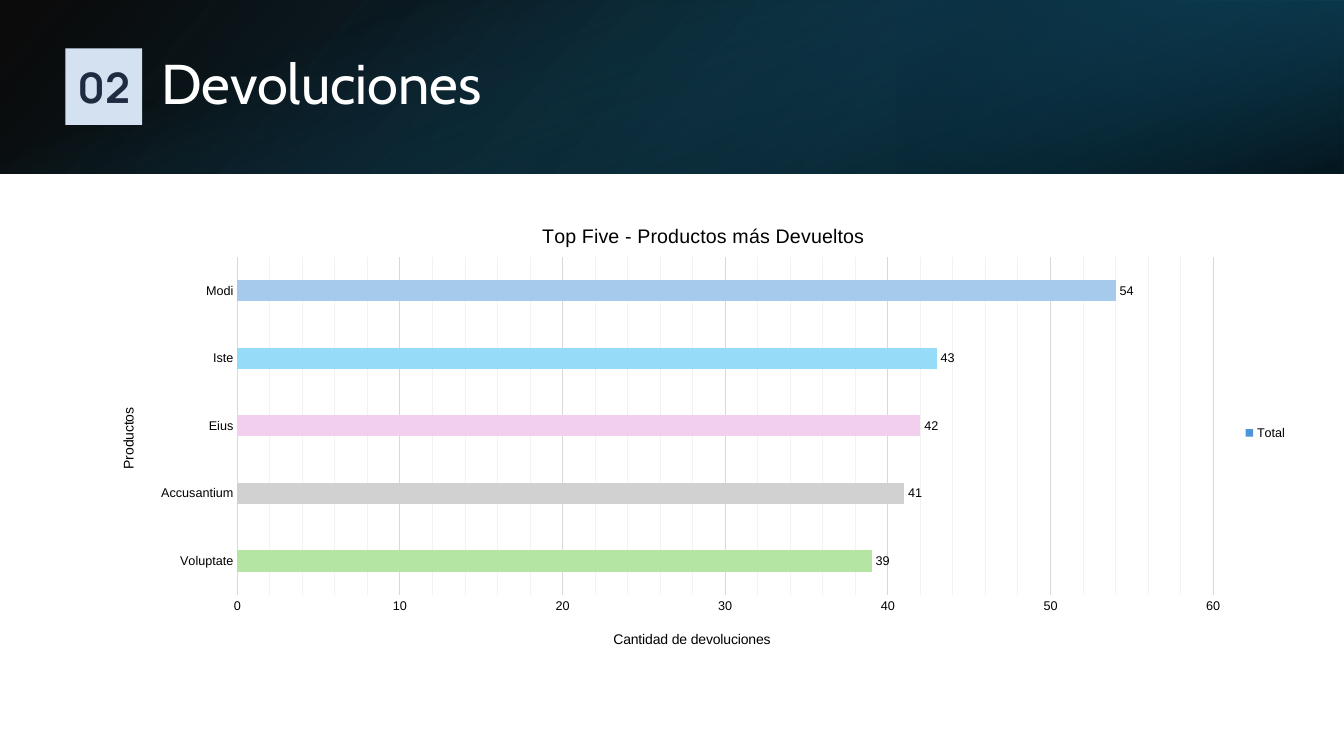
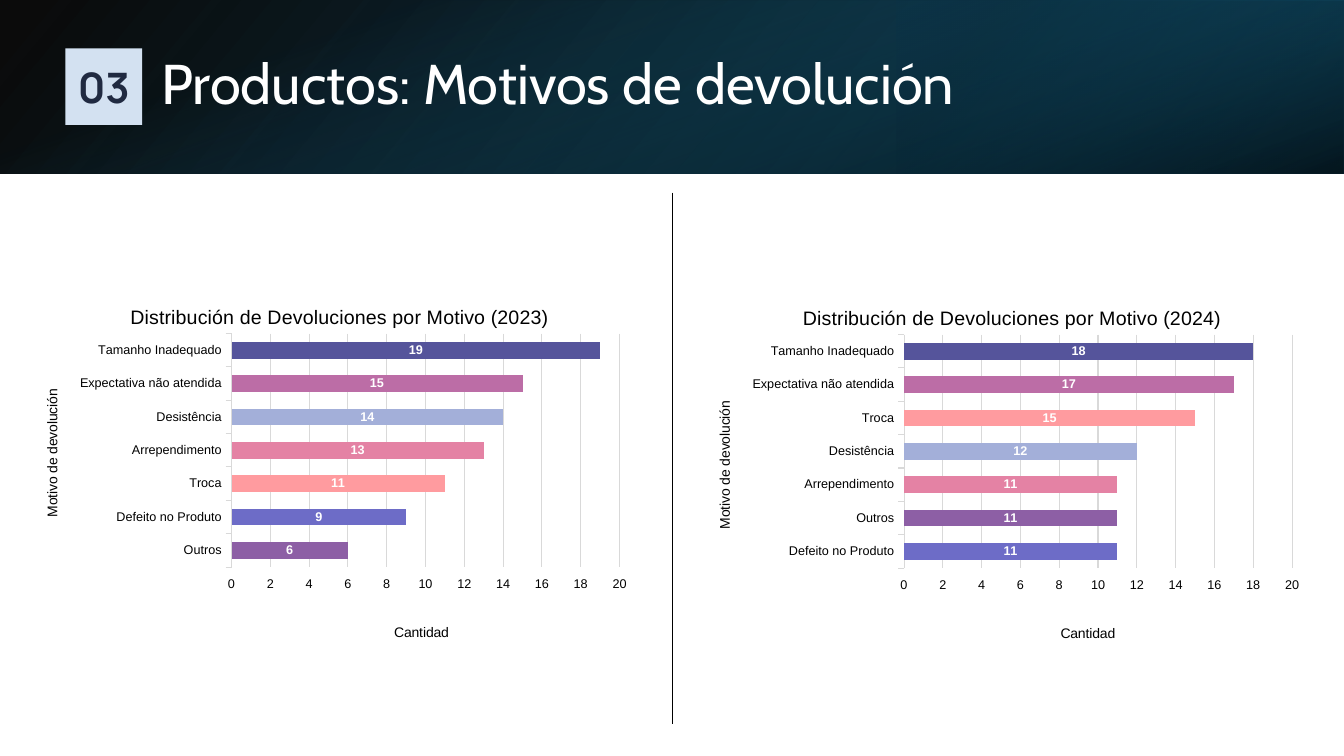
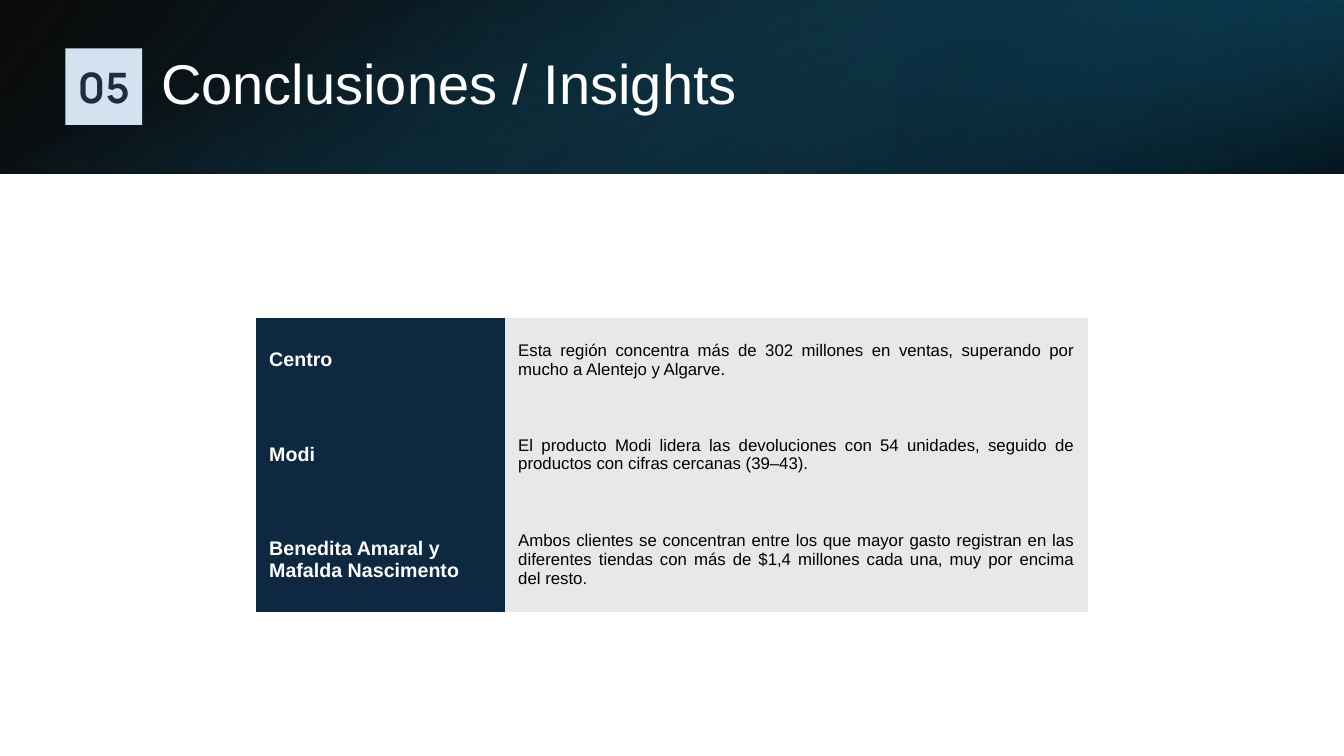
from pptx import Presentation
from pptx.chart.data import CategoryChartData
from pptx.dml.color import RGBColor
from pptx.enum import chart as ch, shapes, text
from pptx.oxml import parse_xml
from pptx.oxml.ns import nsdecls, qn
from pptx.util import Inches, Pt

# Shared look
WHITE, BLACK, GRID, FINE_GRID = "FFFFFF", "000000", "D9D9D9", "F2F2F2"
NAVY, PALE_GREY = "0E2841", "E8E8E8"
BADGE_FILL, BADGE_TEXT = "D3E1F1", "202A41"
BODY_FONT, TITLE_FONT, BADGE_FONT = "Arial", "Cabin", "Manrope"
NO_STYLE = "{2D5ABB26-0587-4C30-8999-92F81FD0307C}"

# Band layers: box, rotation, flipped, angle, (position, colour, opacity) stops
BAND = [
    ((0, 0, 13.33, 1.72), 0, True, 140,
     [(0, BLACK, 96), (100, "104862", 100)]),
    ((8.89, 0, 4.44, 1.72), 180, True, 320,
     [(19, "0B3041", 68), (100, "156082", 79)]),
    ((5.8, -5.8, 1.72, 13.33), 90, False, 340,
     [(23, "156082", 0), (99, BLACK, 74)]),
]

REASON_COLORS = {
    "Outros": "8D5FA5",
    "Defeito no Produto": "6D6CC7",
    "Troca": "FF9B9F",
    "Arrependimento": "E482A4",
    "Desistência": "A3AFD9",
    "Expectativa não atendida": "BC6DA6",
    "Tamanho Inadequado": "55549B",
}
REASONS_2023 = {
    "Outros": 6, "Defeito no Produto": 9, "Troca": 11, "Arrependimento": 13,
    "Desistência": 14, "Expectativa não atendida": 15, "Tamanho Inadequado": 19,
}
REASONS_2024 = {
    "Defeito no Produto": 11, "Outros": 11, "Arrependimento": 11,
    "Desistência": 12, "Troca": 15, "Expectativa não atendida": 17,
    "Tamanho Inadequado": 18,
}
PRODUCTS = {"Voluptate": 39, "Accusantium": 41, "Eius": 42, "Iste": 43, "Modi": 54}
PRODUCT_COLORS = dict(zip(
    PRODUCTS, ["B4E5A2", "D1D1D1", "F2CFEE", "96DCF8", "A6CAEC"]))

INSIGHTS = [
    ("Centro",
     "Esta región concentra más de 302 millones en ventas, superando por "
     "mucho a Alentejo y Algarve."),
    ("Modi",
     "El producto Modi lidera las devoluciones con 54 unidades, seguido de "
     "productos con cifras cercanas (39–43)."),
    ("Benedita Amaral y Mafalda Nascimento",
     "Ambos clientes se concentran entre los que mayor gasto registran en las "
     "diferentes tiendas con más de $1,4 millones cada una, muy por encima "
     "del resto."),
]


def rgb(value):
    return RGBColor.from_string(value)


def box(*lengths):
    return [Inches(v) for v in lengths]


def set_font(font, size, color, name=BODY_FONT, bold=False):
    font.size, font.name, font.bold = Pt(size), name, bold
    font.color.rgb = rgb(color)


def add_run(p, words, *style, **more):
    r = p.add_run()
    r.text = words
    set_font(r.font, *style, **more)


def set_fill(fill, color):
    fill.solid()
    fill.fore_color.rgb = rgb(color)


def set_line(line, color, width=0.75):
    line.color.rgb = rgb(color)
    line.width = Pt(width)


# Header
def add_rect(s, at):
    sp = s.shapes.add_shape(shapes.MSO_SHAPE.RECTANGLE, *box(*at))
    sp.shadow.inherit = False
    sp.line.fill.background()
    return sp


def add_band_layer(s, at, rotation, flipped, angle, stops):
    sp = add_rect(s, at)
    sp.rotation = rotation
    if flipped:
        sp._element.spPr.xfrm.set("flipH", "1")
    sp.fill.gradient()
    sp.fill.gradient_angle = 360 - angle
    for stop, (position, color, _) in zip(sp.fill.gradient_stops, stops):
        stop.position = position / 100
        stop.color.rgb = rgb(color)
    for clr, (_, _, opacity) in zip(sp._element.xpath(".//a:gs/a:srgbClr"), stops):
        clr.append(parse_xml(
            f'<a:alpha {nsdecls("a")} val="{opacity * 1000}"/>'))


def add_badge(s, number):
    sp = add_rect(s, (0.65, 0.48, 0.76, 0.76))
    set_fill(sp.fill, BADGE_FILL)
    tf = sp.text_frame
    tf.margin_left = tf.margin_right = tf.margin_top = tf.margin_bottom = Inches(0.1)
    tf.vertical_anchor = text.MSO_ANCHOR.MIDDLE
    tf.word_wrap = False
    p = tf.paragraphs[0]
    p.alignment = text.PP_ALIGN.CENTER
    add_run(p, number, 30, BADGE_TEXT, BADGE_FONT, bold=True)


def add_slide(prs, number, heading, font=TITLE_FONT):
    s = prs.slides.add_slide(prs.slide_layouts[5])
    for layer in BAND:
        add_band_layer(s, *layer)
    title = s.shapes.title
    s.shapes._spTree.append(title._element)  # bring above the band
    title.left, title.top, title.width, title.height = box(1.5, 0.38, 10.98, 0.96)
    tf = title.text_frame
    tf.word_wrap = True
    tf.auto_size = text.MSO_AUTO_SIZE.NONE
    tf.vertical_anchor = text.MSO_ANCHOR.MIDDLE
    p = tf.paragraphs[0]
    p.alignment = text.PP_ALIGN.LEFT
    p.line_spacing = 0.9
    add_run(p, heading, 40, WHITE, font)
    add_badge(s, number)
    return s


# Charts
def place(element, x, y, w=None, h=None):
    """Fix the position of a chart part as fractions of the chart area."""
    old = element.find(qn("c:layout"))
    if old is not None:
        element.remove(old)
    tags = '<c:layoutTarget val="inner"/>' if w else ""
    tags += '<c:xMode val="edge"/><c:yMode val="edge"/>'
    for tag, value in zip("xywh", (x, y, w, h)):
        if value is not None:
            tags += f'<c:{tag} val="{value}"/>'
    layout = parse_xml(f'<c:layout {nsdecls("c")}><c:manualLayout>{tags}'
                       '</c:manualLayout></c:layout>')
    element.insert(0 if element.find(qn("c:tx")) is None else 1, layout)


def set_title(title, words, size, position, vertical=False):
    tf = title.text_frame
    add_run(tf.paragraphs[0], words, size, BLACK)
    if vertical:
        body = tf._txBody.bodyPr
        body.set("rot", "-5400000")
        body.set("vert", "horz")
    place(title._element, *position)


def add_minor_gridlines(axis, step, color):
    axis.minor_unit = step
    axis.has_minor_gridlines = True
    grid = axis._element.find(qn("c:minorGridlines"))
    grid.append(parse_xml(
        f'<c:spPr {nsdecls("c", "a")}><a:ln w="{Pt(0.75)}"><a:solidFill>'
        f'<a:srgbClr val="{color}"/></a:solidFill></a:ln></c:spPr>'))


def add_bar_chart(s, at, values, colors, series, titles, spots, plot_box,
                  gap, top, step, tick, labels):
    """titles and spots follow the order chart, category axis, value axis."""
    data = CategoryChartData(number_format="0")
    data.categories = list(values)
    data.add_series(series[0], list(values.values()))
    chart = s.shapes.add_chart(
        ch.XL_CHART_TYPE.BAR_CLUSTERED, *box(*at), data).chart
    set_font(chart.font, 10, BLACK)
    chart.has_legend = False
    cat, val = chart.category_axis, chart.value_axis

    chart.has_title = True
    set_title(chart.chart_title, titles[0], 14, spots[0])
    set_title(cat.axis_title, titles[1], 10, spots[1], vertical=True)
    set_title(val.axis_title, titles[2], 10, spots[2])
    place(chart._chartSpace.chart.plotArea, *plot_box)

    for axis in (cat, val):
        axis.major_tick_mark = tick
        axis.minor_tick_mark = ch.XL_TICK_MARK.NONE
        set_font(axis.tick_labels.font, 9, BLACK)
    set_line(cat.format.line, GRID)
    val.format.line.fill.background()
    val.minimum_scale, val.maximum_scale, val.major_unit = 0, top, step
    val.has_major_gridlines = True
    set_line(val.major_gridlines.format.line, GRID)

    plot = chart.plots[0]
    plot.gap_width = gap
    plot.vary_by_categories = False
    bars = plot.series[0]
    set_fill(bars.format.fill, series[1])
    for i, name in enumerate(values):
        set_fill(bars.points[i].format.fill, colors[name])
    position, color, bold = labels
    dl = bars.data_labels
    dl.show_value = True
    dl.position = position
    set_font(dl.font, 9, color, bold=bold)
    return chart


def add_reason_chart(s, at, year, values, reason_spot, count_spot):
    add_bar_chart(
        s, at, values, REASON_COLORS, ("Series 1", "156082"),
        (f"Distribución de Devoluciones por Motivo ({year})",
         "Motivo de devolución", "Cantidad"),
        ((0.16, 0.05), reason_spot, count_spot), (0.33, 0.14, 0.63, 0.65),
        gap=100, top=20, step=2, tick=ch.XL_TICK_MARK.OUTSIDE,
        labels=(ch.XL_LABEL_POSITION.CENTER, WHITE, True))


def add_divider(s, x, top, bottom):
    line = s.shapes.add_connector(
        shapes.MSO_CONNECTOR.STRAIGHT, *box(x, top, x, bottom))
    set_line(line.line, BLACK, 1)
    line._element.spPr.append(parse_xml(f'<a:effectLst {nsdecls("a")}/>'))


# Table
def fill_cell(cell, words, fill, size, color, bold=False):
    set_fill(cell.fill, fill)
    cell.vertical_anchor = text.MSO_ANCHOR.MIDDLE
    cell.margin_left = cell.margin_right = Inches(0.13)
    cell.margin_top = cell.margin_bottom = Inches(0.13)
    p = cell.text_frame.paragraphs[0]
    add_run(p, words, size, color, bold=bold)
    return p


def add_insight_table(s, rows, widths, heights):
    frame = s.shapes.add_table(
        len(rows), 2, *box(2.54, 3.15, sum(widths), sum(heights)))
    table = frame.table
    table.first_row = table.horz_banding = False
    table._tbl.tblPr.find(qn("a:tableStyleId")).text = NO_STYLE
    for column, width in zip(table.columns, widths):
        column.width = Inches(width)
    for i, (topic, insight) in enumerate(rows):
        table.rows[i].height = Inches(heights[i])
        fill_cell(table.cell(i, 0), topic, NAVY, 14, WHITE, bold=True)
        p = fill_cell(table.cell(i, 1), insight, PALE_GREY, 12, BLACK)
        p.alignment = text.PP_ALIGN.JUSTIFY
        p.space_after = Pt(16)


# Slides
def returns_slide(prs):
    s = add_slide(prs, "02", "Devoluciones")
    chart = add_bar_chart(
        s, (0.92, 2, 11.95, 4.59), PRODUCTS, PRODUCT_COLORS, ("Total", "4E95D9"),
        ("Top Five - Productos más Devueltos", "Productos",
         "Cantidad de devoluciones"),
        ((0.37, 0.04), (0.02, 0.44), (0.43, 0.92)),
        (0.12, 0.12, 0.81, 0.73),
        gap=219, top=60, step=10, tick=ch.XL_TICK_MARK.NONE,
        labels=(ch.XL_LABEL_POSITION.OUTSIDE_END, BLACK, False))
    add_minor_gridlines(chart.value_axis, 2, FINE_GRID)
    chart.has_legend = True
    chart.legend.position = ch.XL_LEGEND_POSITION.RIGHT
    chart.legend.include_in_layout = False
    set_font(chart.legend.font, 9, BLACK)


def reasons_slide(prs):
    s = add_slide(prs, "03", "Productos: Motivos de devolución")
    add_reason_chart(s, (6.95, 2.82, 6.11, 3.59), 2024, REASONS_2024,
                     (0.02, 0.32), (0.58, 0.94))
    add_divider(s, 6.67, 1.91, 7.18)
    add_reason_chart(s, (0.28, 2.81, 6.11, 3.59), 2023, REASONS_2023,
                     (0.02, 0.29), (0.59, 0.94))


def insights_slide(prs):
    s = add_slide(prs, "05", "Conclusiones / Insights", BODY_FONT)
    add_insight_table(s, INSIGHTS, (2.47, 5.78), (0.84, 1.04, 1.04))


def main():
    prs = Presentation()
    prs.slide_width, prs.slide_height = box(13.33, 7.5)
    returns_slide(prs)
    reasons_slide(prs)
    insights_slide(prs)
    prs.save("out.pptx")


if __name__ == "__main__":
    main()
